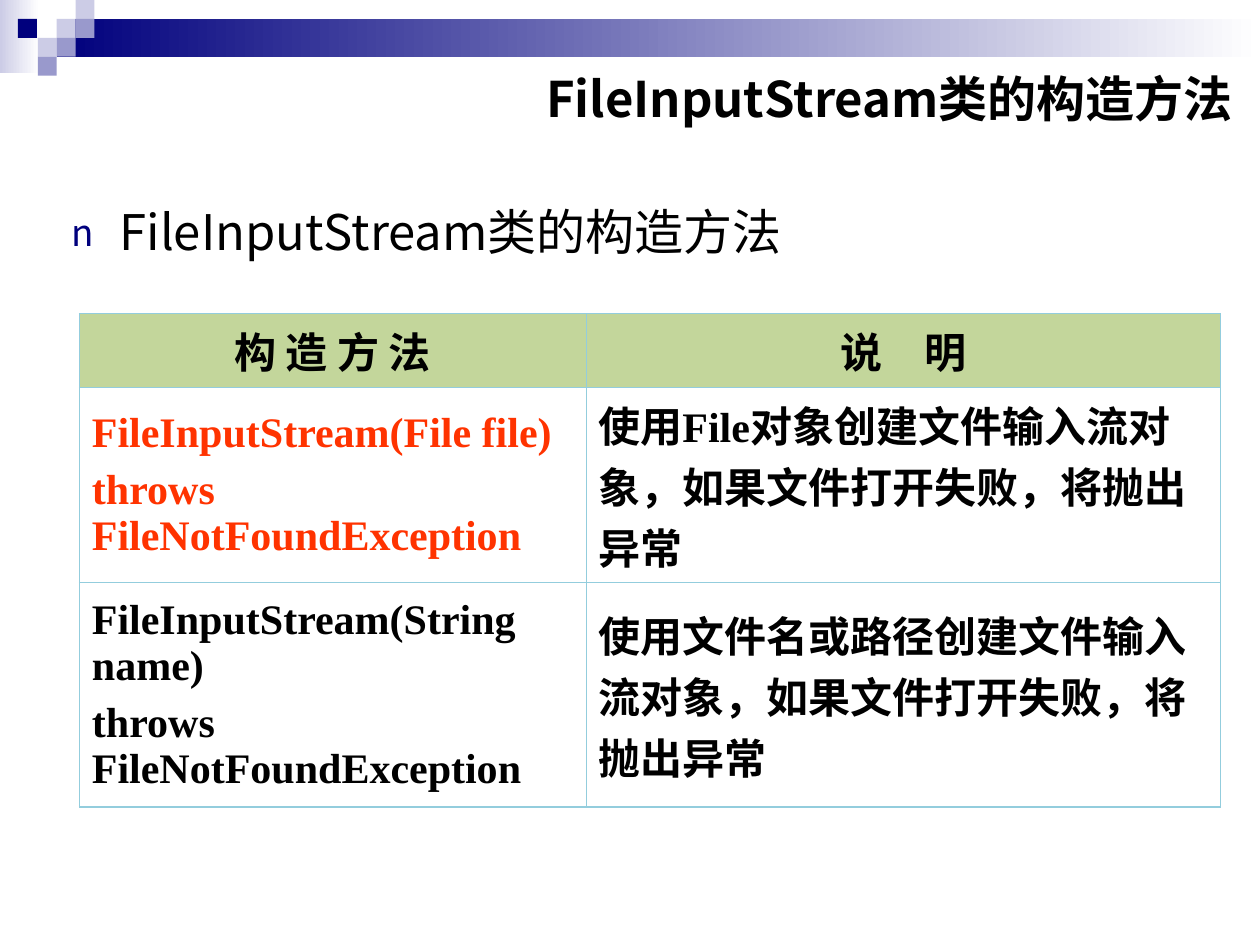
from dataclasses import dataclass
from typing import Any

from lxml.etree import SubElement
from pptx import Presentation
from pptx.dml.color import RGBColor
from pptx.enum.shapes import MSO_SHAPE as Shape
from pptx.enum.text import MSO_ANCHOR as Anchor, MSO_AUTO_SIZE as AutoSize, PP_ALIGN as Align
from pptx.oxml import parse_xml
from pptx.oxml.ns import nsdecls, qn
from pptx.util import Inches, Pt

NAVY, LILAC, VIOLET, WHITE, BLACK = "00007D", "CCCCE6", "9999CC", "FFFFFF", "000000"
GREEN, SKY, RED = "C3D69B", "93CDDD", "FF3300"
SQUARES = [(3, 1, LILAC), (4, 0, LILAC), (4, 1, VIOLET), (2, 2, LILAC),
           (0.95, 1, NAVY), (3, 2, VIOLET), (2, 3, VIOLET)]
THROWS = "throws FileNotFoundException"
ROWS = [
    (["构 造 方 法"], ["说　明"]),
    (["FileInputStream(File file)", THROWS],
     ["使用File对象创建文件输入流对象，如果文件打开失败，将抛出异常"]),
    (["FileInputStream(String name)", THROWS],
     ["使用文件名或路径创建文件输入流对象，如果文件打开失败，将抛出异常"]),
]


def color(value):
    return RGBColor.from_string(value)


@dataclass
class Builder:
    """Draws styled elements on one slide, measured in squares of a grid."""

    slide: Any
    unit: float = 0.15
    sans: str = "Noto Sans CJK SC"
    serif: str = "Times New Roman"

    def grid(self, *counts):
        return [Inches(count * self.unit) for count in counts]

    def block(self, area, start, end=None):
        shape = self.slide.shapes.add_shape(Shape.RECTANGLE, *self.grid(*area))
        shape.shadow.inherit = False
        shape.line.fill.background()
        if end is None:
            shape.fill.solid()
            shape.fill.fore_color.rgb = color(start)
            return
        shape.fill.gradient()
        shape.fill.gradient_angle = 0
        for stop, value in zip(shape.fill.gradient_stops, (start, end)):
            stop.color.rgb = color(value)

    def style(self, para, size, bold=False, ink=BLACK, latin=None, align=Align.LEFT, before=0):
        para.alignment = align
        para.space_before = Pt(before)
        font = para.font
        font.size, font.bold, font.name = Pt(size), bold, latin or self.sans
        font.color.rgb = color(ink)
        defaults = para._p.get_or_add_pPr().find(qn("a:defRPr"))
        SubElement(defaults, qn("a:ea"), typeface=self.sans)

    def placeholder(self, index, area, text, anchor):
        box = self.slide.placeholders[index]
        box.left, box.top, box.width, box.height = self.grid(*area)
        frame = box.text_frame
        frame.text = text
        frame.word_wrap = True
        frame.auto_size = AutoSize.NONE
        frame.vertical_anchor = anchor
        return frame.paragraphs[0]

    def title(self, area, text):
        para = self.placeholder(0, area, text, Anchor.MIDDLE)
        self.style(para, 28, bold=True, align=Align.RIGHT)

    def bullet(self, area, text):
        para = self.placeholder(1, area, text, Anchor.TOP)
        props = para._p.get_or_add_pPr()
        indent = Inches(0.38)
        props.set("marL", str(indent))
        props.set("indent", str(-indent))
        tint = SubElement(props, qn("a:buClr"))
        SubElement(tint, qn("a:srgbClr"), val=NAVY)
        SubElement(props, qn("a:buSzPct"), val="75000")
        SubElement(props, qn("a:buFont"), typeface=self.sans)
        SubElement(props, qn("a:buChar"), char="n")
        self.style(para, 28, before=7)

    def borders(self, cell, outer):
        props = cell._tc.get_or_add_tcPr()
        for place, (side, is_outer) in enumerate(zip("LRTB", outer)):
            width = Pt(0.75 if is_outer else 0.45)
            props.insert(place, parse_xml(
                f'<a:ln{side} {nsdecls("a")} w="{width}"><a:solidFill>'
                f'<a:srgbClr val="{SKY}"/></a:solidFill></a:ln{side}>'))

    def cell(self, cell, lines, fill, **look):
        cell.fill.solid()
        cell.fill.fore_color.rgb = color(fill)
        cell.vertical_anchor = Anchor.MIDDLE
        cell.text = "\n".join(lines)
        for para in cell.text_frame.paragraphs:
            self.style(para, 24, bold=True, before=6, **look)

    def table(self, left, top, widths, heights, rows):
        area = self.grid(left, top, sum(widths), sum(heights))
        table = self.slide.shapes.add_table(len(heights), len(widths), *area).table
        table.first_row = table.horz_banding = False
        for column, width in zip(table.columns, self.grid(*widths)):
            column.width = width
        for row, height in zip(table.rows, self.grid(*heights)):
            row.height = height
        for r, row in enumerate(rows):
            for c, lines in enumerate(row):
                cell = table.cell(r, c)
                if r == 0:
                    self.cell(cell, lines, GREEN, align=Align.CENTER)
                else:
                    ink = RED if (r, c) == (1, 0) else BLACK
                    self.cell(cell, lines, WHITE, ink=ink, latin=self.serif)
                self.borders(cell, (c == 0, c == len(row) - 1, r == 0, r == len(rows) - 1))


def main():
    deck = Presentation()
    deck.slide_width, deck.slide_height = Inches(10), Inches(7.5)
    page = Builder(deck.slides.add_slide(deck.slide_layouts[1]))
    page.block((0, 0, 2.07, 3.87), LILAC, WHITE)
    page.block((3, 1, 63.67, 2), NAVY, WHITE)
    for column, row, fill in SQUARES:
        page.block((column, row, 1, 1), fill)
    page.title((26.93, 2.93, 38.93, 4.47), "FileInputStream类的构造方法")
    page.bullet((3.13, 10.33, 60, 4.2), "FileInputStream类的构造方法")
    page.table(4.2, 16.6, (26.8, 33.6), (3.33, 9.2, 11.87), ROWS)
    deck.save("out.pptx")


if __name__ == "__main__":
    main()
